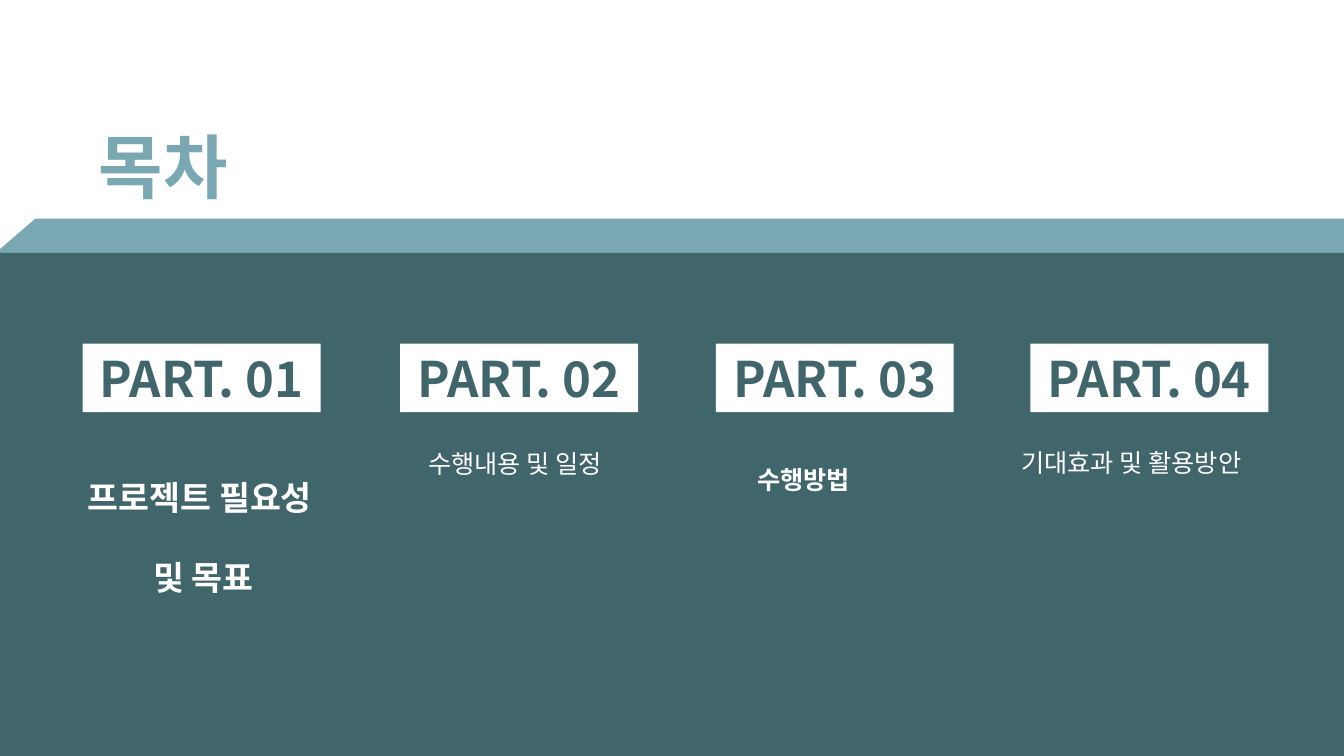
from pptx import Presentation
from pptx.dml.color import RGBColor
from pptx.enum.shapes import MSO_SHAPE as SHAPE
from pptx.enum.text import MSO_ANCHOR as ANCHOR, MSO_AUTO_SIZE as AUTO, PP_ALIGN as ALIGN
from pptx.oxml.ns import qn
from pptx.util import Pt
from lxml import etree

PX = 9144  # EMU per px, 100 px to the inch
FONT = "Noto Sans CJK KR"
COLORS = {"white": "FFFFFF", "band": "79A8B2", "panel": "40656B"}


def rgb(name):
    return RGBColor.from_string(COLORS[name])


def write(tf, text, size=18, color="white", bold=False, align=None,
          spacing=None, wrap=True, anchor=ANCHOR.TOP):
    """Fill a text frame, one paragraph per line of text."""
    tf.word_wrap = wrap
    tf.auto_size = AUTO.SHAPE_TO_FIT_TEXT
    tf.vertical_anchor = anchor
    for i, line in enumerate(text.split("\n")):
        p = tf.add_paragraph() if i else tf.paragraphs[0]
        p.alignment = align
        if spacing:
            p.line_spacing = spacing
        r = p.add_run()
        r.text = line
        r.font.name = FONT
        r.font.size = Pt(size)
        r.font.bold = bold
        r.font.color.rgb = rgb(color)
        etree.SubElement(r.font._element, qn("a:ea")).set("typeface", FONT)


class Deck:
    def __init__(self, width, height):
        self.prs = Presentation()
        self.prs.slide_width, self.prs.slide_height = width * PX, height * PX
        self.s = self.prs.slides.add_slide(self.prs.slide_layouts[5])

    def title(self, x, y, w, h, text, **fmt):
        sp = self.s.shapes.title
        sp.left, sp.top, sp.width, sp.height = (v * PX for v in (x, y, w, h))
        write(sp.text_frame, text, **fmt)

    def shape(self, x, y, w, h, color, kind=SHAPE.RECTANGLE):
        sp = self.s.shapes.add_shape(kind, *(v * PX for v in (x, y, w, h)))
        sp.shadow.inherit = False
        sp.fill.solid()
        sp.fill.fore_color.rgb = rgb(color)
        sp.line.fill.background()
        return sp

    def corner(self, x, y, w, h, color):
        """Triangle hanging from its top edge, pointing down on the left."""
        sp = self.shape(x, y, w, h, color, SHAPE.ISOSCELES_TRIANGLE)
        sp.adjustments[0] = 0
        sp.element.spPr.find(qn("a:xfrm")).set("flipV", "1")

    def label(self, x, y, w, h, text, **fmt):
        sp = self.shape(x, y, w, h, "white")
        write(sp.text_frame, text, anchor=ANCHOR.MIDDLE, **fmt)

    def text(self, x, y, w, h, text, **fmt):
        sp = self.s.shapes.add_textbox(*(v * PX for v in (x, y, w, h)))
        write(sp.text_frame, text, **fmt)


def main():
    deck = Deck(1333, 750)

    # Background panel with a cut corner
    deck.shape(0, 217, 1333, 533, "band")
    deck.shape(0, 251, 1333, 499, "panel")
    deck.corner(0, 216, 36, 31, "white")

    # Heading
    deck.title(56, 118, 212, 93, "목차", size=50, color="band", bold=True,
               align=ALIGN.CENTER)

    # Part labels
    for number, x in enumerate((82, 397, 710, 1022), 1):
        deck.label(x, 341, 236, 68, f"PART. {number:02}", size=35,
                   color="panel", bold=True, align=ALIGN.CENTER)

    # Part names
    strong = dict(bold=True, align=ALIGN.CENTER, spacing=2.0)
    deck.text(50, 428, 304, 170, "프로젝트 필요성 \n및 목표", size=24, **strong)
    deck.text(415, 440, 252, 40, "수행내용 및 일정")
    deck.text(738, 426, 118, 70, "수행방법", wrap=False, **strong)
    deck.text(1003, 439, 275, 40, "기대효과 및 활용방안")

    deck.prs.save("out.pptx")


if __name__ == "__main__":
    main()
